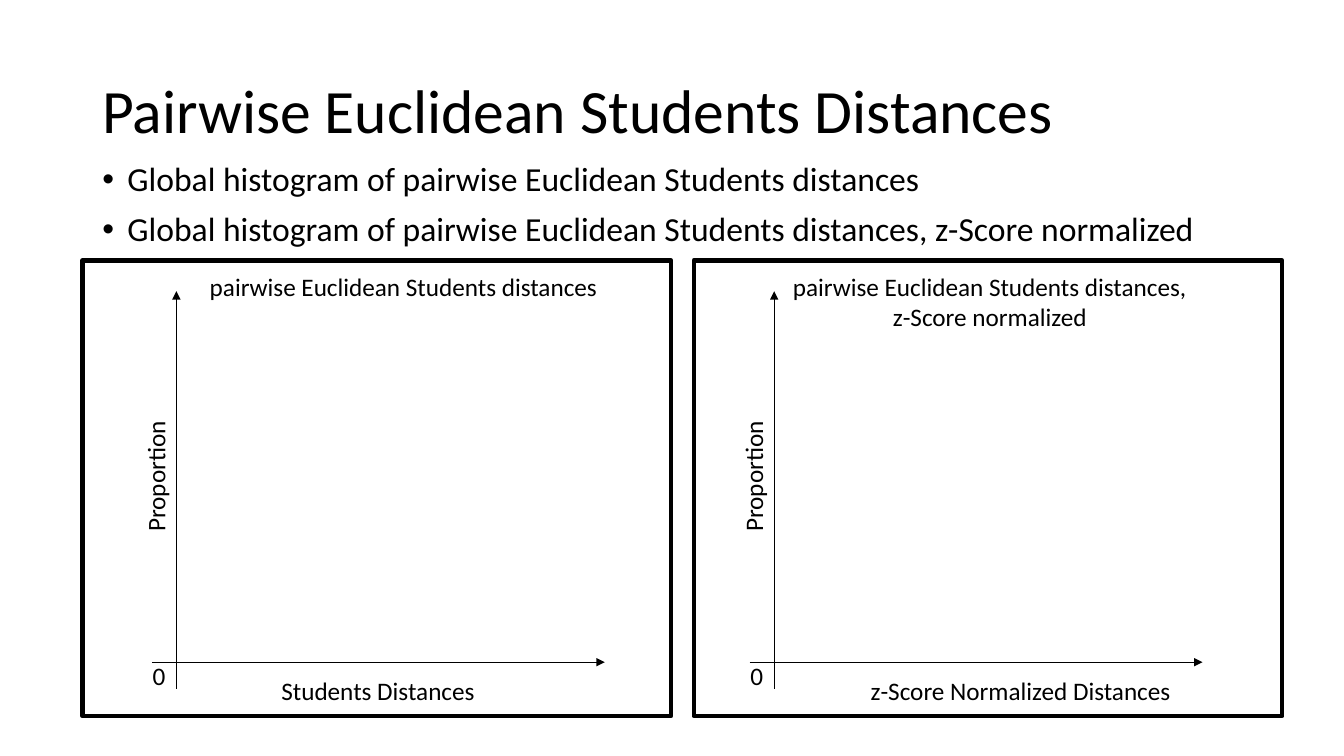
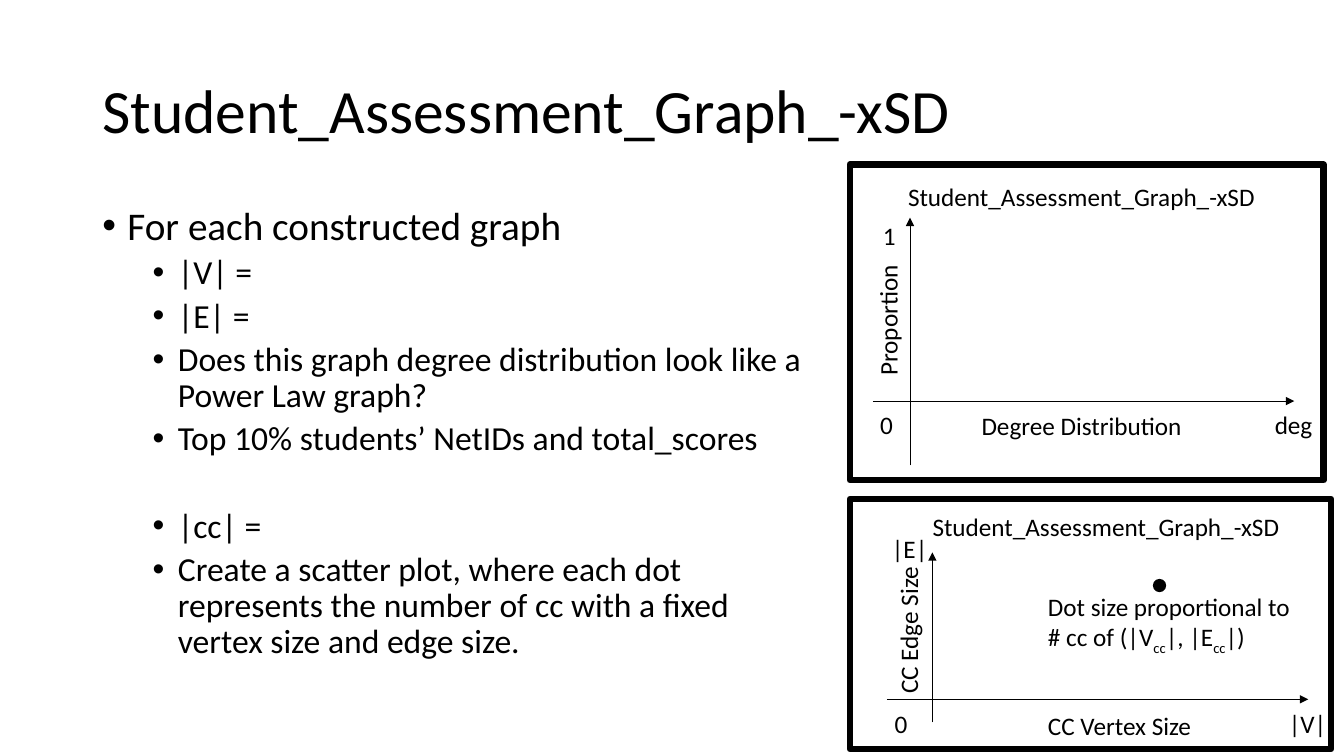
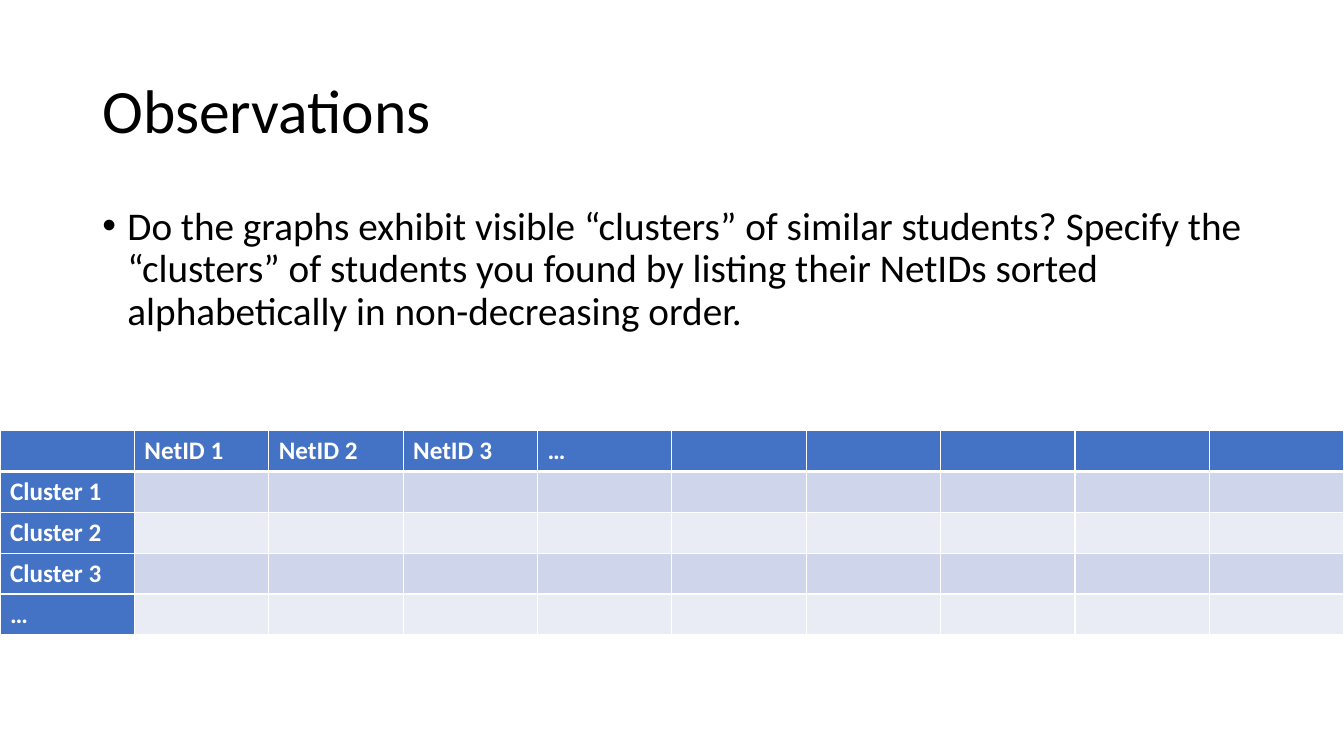
import pptx
import pptx.dml.color
import pptx.enum.shapes
import pptx.enum.text
import pptx.oxml
import pptx.oxml.ns
import pptx.util

Pt = pptx.util.Pt
ALIGN = pptx.enum.text.PP_ALIGN
SHAPE = pptx.enum.shapes.MSO_SHAPE
FONT = "Calibri"
BLACK, WHITE, BLUE = "000000", "FFFFFF", "4472C4"
BANDS = ("CFD5EA", "E9EBF5")
SLIDE_W, SLIDE_H = 960, 540
TITLE_BOX = (66, 29, 828, 104)
LABEL_SIZE, LABEL_LINE = 18, 21.6

# Bullet: (level, text, space before)
LEVELS = {0: (18, 28), 1: (54, 24)}  # left margin, text size
DISTANCE_BULLETS = [
    (0, "Global histogram of pairwise Euclidean Students distances", 0),
    (0, "Global histogram of pairwise Euclidean Students distances, z-Score normalized", 10),
]
GRAPH_BULLETS = [
    (0, "For each constructed graph", 0),
    (1, "|V| =", 5),
    (1, "|E| =", 5),
    (1, "Does this graph degree distribution look like a Power Law graph?", 5),
    (1, "Top 10% students’ NetIDs and total_scores", 5),
    (1, "|cc| =", 36.4),
    (1, "Create a scatter plot, where each dot represents the number of cc "
        "with a fixed vertex size and edge size.", 5),
]
CLUSTER_BULLETS = [
    (0, "Do the graphs exhibit visible “clusters” of similar students? Specify the "
        "“clusters” of students you found by listing their NetIDs sorted "
        "alphabetically in non-decreasing order.", 0),
]

# Labels: (left, top, width, lines); a line is text, or a tuple alternating text and subscript
DISTANCE_LABELS = [
    [(141, 190, 294.5, ["pairwise Euclidean Students distances"]),
     (193, 479, 154, ["Students Distances"])],
    [(555.5, 190, 303, ["pairwise Euclidean Students distances,", "z-Score normalized"]),
     (613.5, 479, 231, ["z-Score Normalized Distances"])],
]
FRAME_STEP, AXES_STEP = 436.5, 427

GRAPH_NAME = "Student_Assessment_Graph_-xSD"
GRAPH_PLOTS = [
    dict(frame=(607, 117.5, 338.5, 225.5),
         y_axis=(650, 332.5, 155.5), x_axis=(286.5, 623.5, 924.5),
         side=(587, 214, 94, ["Proportion"]),
         labels=[(903.5, 288.5, 42, ["deg"]),
                 (621.5, 288.5, 24, ["0"]),
                 (623.5, 153.5, 24, ["1"]),
                 (641.5, 126, 265, [GRAPH_NAME]),
                 (694, 289.5, 159, ["Degree Distribution"])]),
    dict(frame=(607, 356.5, 344, 178.5),
         y_axis=(666, 516, 394.5), x_axis=(499.5, 633.5, 934.5),
         side=(595.5, 435, 106.5, ["CC Edge Size"]),
         labels=[(913.5, 502.5, 42, ["|V|"]),
                 (632, 502.5, 24, ["0"]),
                 (659, 362, 265, [GRAPH_NAME]),
                 (741.5, 503.5, 118, ["CC Vertex Size"]),
                 (630, 377.5, 42, ["|E|"]),
                 (741.5, 419, 193.5, ["Dot size proportional to",
                                      ("# cc of (|V", "cc", "|, |E", "cc", "|)")])]),
]
DOT = (823.5, 413.5, 9.5, 9.5)

TABLE_HEADS = ["", "NetID 1", "NetID 2", "NetID 3", "…"]
TABLE_ROWS = ["Cluster 1", "Cluster 2", "Cluster 3", "…"]
TABLE_COLS, TABLE_TOP, ROW_H = 10, 307.5, 29.2


def rgb(value):
    return pptx.dml.color.RGBColor.from_string(value)


def pts(values):
    return [Pt(v) for v in values]


def add_run(p, text, size, color=BLACK, bold=False):
    r = p.add_run()
    r.text = text
    r.font.name = FONT
    r.font.size = Pt(size)
    r.font.bold = bold
    r.font.color.rgb = rgb(color)
    return r


def add_title(slide, text):
    tf = slide.shapes.add_textbox(*pts(TITLE_BOX)).text_frame
    tf.word_wrap = True
    tf.vertical_anchor = pptx.enum.text.MSO_ANCHOR.MIDDLE
    p = tf.paragraphs[0]
    p.line_spacing = 0.9
    add_run(p, text, 44)


def add_bullets(slide, box, bullets, size=None):
    """Add a bulleted list; size replaces the usual size of its levels."""
    tf = slide.shapes.add_textbox(*pts(box)).text_frame
    tf.word_wrap = True
    for i, (level, text, before) in enumerate(bullets):
        p = tf.paragraphs[0] if i == 0 else tf.add_paragraph()
        margin, level_size = LEVELS[level]
        pPr = p._p.get_or_add_pPr()
        pPr.set("marL", str(Pt(margin)))
        pPr.set("indent", str(Pt(-18)))
        for tag, name, value in (("buFont", "typeface", "Arial"), ("buChar", "char", "•")):
            bu = pptx.oxml.parse_xml(f"<a:{tag} {pptx.oxml.ns.nsdecls('a')}/>")
            bu.set(name, value)
            pPr.append(bu)
        p.level = level
        p.line_spacing = 0.9
        p.space_before = Pt(before)
        add_run(p, text, size or level_size)


def add_label(slide, left, top, width, lines, rotation=0, align=ALIGN.LEFT):
    height = LABEL_LINE * len(lines) + 7.2
    sp = slide.shapes.add_textbox(*pts((left, top, width, height)))
    sp.rotation = rotation
    tf = sp.text_frame
    tf.word_wrap = False
    tf.auto_size = pptx.enum.text.MSO_AUTO_SIZE.SHAPE_TO_FIT_TEXT
    for i, line in enumerate(lines):
        p = tf.paragraphs[0] if i == 0 else tf.add_paragraph()
        p.alignment = align
        for j, text in enumerate((line,) if isinstance(line, str) else line):
            r = add_run(p, text, LABEL_SIZE)
            if j % 2:
                r._r.get_or_add_rPr().set("baseline", "-25000")


def add_arrow(slide, x1, y1, x2, y2):
    line = slide.shapes.add_connector(
        pptx.enum.shapes.MSO_CONNECTOR.STRAIGHT, *pts((x1, y1, x2, y2)))
    line.line.color.rgb = rgb(BLACK)
    line.line.width = Pt(0.5)
    ns = pptx.oxml.ns.nsdecls("a")
    line.line._get_or_add_ln().append(pptx.oxml.parse_xml(f'<a:tailEnd {ns} type="triangle"/>'))
    line._element.spPr.append(pptx.oxml.parse_xml(f"<a:effectLst {ns}/>"))


def add_plot(slide, frame, y_axis, x_axis, side, labels, weight, align=ALIGN.LEFT):
    """Draw a framed pair of axes: y_axis is x, bottom, top; x_axis is y, left, right."""
    sp = slide.shapes.add_shape(SHAPE.RECTANGLE, *pts(frame))
    sp.shadow.inherit = False
    sp.fill.background()
    sp.line.color.rgb = rgb(BLACK)
    sp.line.width = Pt(weight)
    x, bottom, top = y_axis
    add_arrow(slide, x, bottom, x, top)
    y, left, right = x_axis
    add_arrow(slide, left, y, right, y)
    add_label(slide, *side, rotation=270)
    for label in labels:
        add_label(slide, *label, align=align)


def style_cell(cell, fill, top, bottom):
    tcPr = cell._tc.get_or_add_tcPr()
    for edge, width in (("L", 1), ("R", 1), ("T", top), ("B", bottom)):
        tcPr.append(pptx.oxml.parse_xml(
            f'<a:ln{edge} {pptx.oxml.ns.nsdecls("a")} w="{Pt(width)}"><a:solidFill>'
            f'<a:srgbClr val="{WHITE}"/></a:solidFill></a:ln{edge}>'))
    cell.fill.solid()
    cell.fill.fore_color.rgb = rgb(fill)


def add_cluster_table(slide):
    rows = len(TABLE_ROWS) + 1
    table = slide.shapes.add_table(
        rows, TABLE_COLS, *pts((0, TABLE_TOP, SLIDE_W, ROW_H * rows))).table
    table.first_row = table.horz_banding = False
    for i, row in enumerate(table.rows):
        row.height = Pt(ROW_H)
        texts = TABLE_HEADS if i == 0 else [TABLE_ROWS[i - 1]]
        for j, cell in enumerate(row.cells):
            fill = BLUE if i == 0 or j == 0 else BANDS[(i - 1) % 2]
            style_cell(cell, fill, 3 if i == 1 else 1, 3 if i == 0 else 1)
            if j < len(texts) and texts[j]:
                add_run(cell.text_frame.paragraphs[0], texts[j], LABEL_SIZE, WHITE, True)


def main():
    prs = pptx.Presentation()
    prs.slide_width, prs.slide_height = Pt(SLIDE_W), Pt(SLIDE_H)

    def new_slide(title):
        slide = prs.slides.add_slide(prs.slide_layouts[6])
        add_title(slide, title)
        return slide

    slide = new_slide("Pairwise Euclidean Students Distances")
    add_bullets(slide, (66, 112.5, 828, 374), DISTANCE_BULLETS, 24)
    for i, labels in enumerate(DISTANCE_LABELS):
        dx = i * AXES_STEP
        add_plot(slide, (59 + i * FRAME_STEP, 186, 420.5, 325.5),
                 (126 + dx, 492, 208), (473, 108.5 + dx, 432 + dx),
                 (64 + dx, 325.5, 94, ["Proportion"]),
                 labels + [(101.5 + dx, 468, 24, ["0"])], 3, ALIGN.CENTER)

    slide = new_slide(GRAPH_NAME)
    add_bullets(slide, (66, 144, 524, 343), GRAPH_BULLETS)
    for plot in GRAPH_PLOTS:
        add_plot(slide, **plot, weight=4.5)
    dot = slide.shapes.add_shape(SHAPE.OVAL, *pts(DOT))
    dot.shadow.inherit = False
    dot.fill.solid()
    dot.fill.fore_color.rgb = rgb(BLACK)
    dot.line.fill.background()

    slide = new_slide("Observations")
    add_bullets(slide, (66, 144, 828, 343), CLUSTER_BULLETS)
    add_cluster_table(slide)

    prs.save("out.pptx")


if __name__ == "__main__":
    main()
